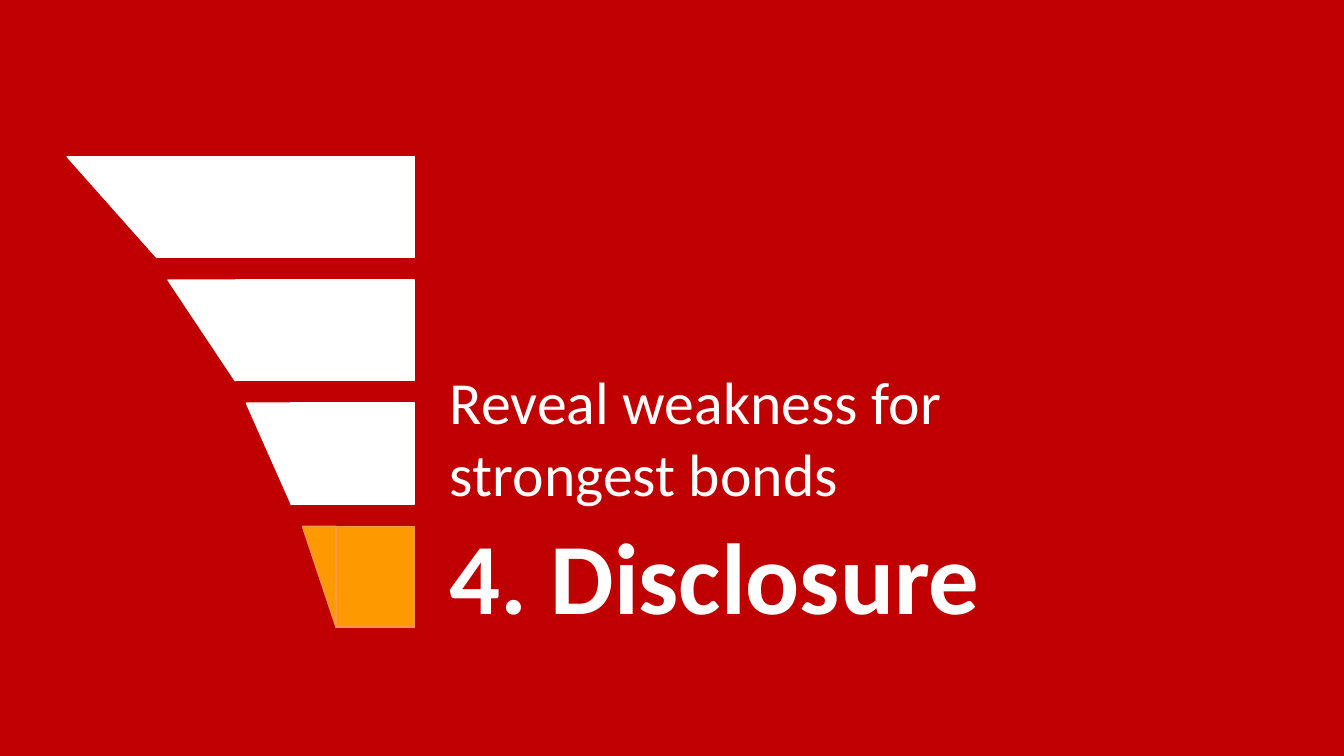
"""Build the red "4. Disclosure" section slide with its four-step half funnel."""
from lxml.etree import SubElement
from pptx import Presentation
from pptx.dml.color import RGBColor
from pptx.enum.shapes import MSO_SHAPE as Shape
from pptx.enum.text import MSO_ANCHOR as Anchor
from pptx.oxml.ns import qn
from pptx.util import Pt


def paint(fill, color):
    fill.solid()
    fill.fore_color.rgb = RGBColor.from_string(color)


def add_text(page, text, left, top, width, height, size, bold=False, anchor=Anchor.TOP):
    box = page.shapes.add_textbox(Pt(left), Pt(top), Pt(width), Pt(height))
    frame = box.text_frame
    frame.word_wrap = True
    frame.vertical_anchor = anchor
    span = frame.paragraphs[0].add_run()
    span.text = text
    span.font.name = "Calibri"
    span.font.size = Pt(size)
    span.font.bold = bold
    paint(span.font.fill, "FFFFFF")
    return span


deck = Presentation()
deck.slide_width, deck.slide_height = Pt(720), Pt(405)
page = deck.slides.add_slide(deck.slide_layouts[6])
paint(page.background.fill, "C00000")

title = add_text(page, "4. Disclosure", 234, 264, 462, 87, 54, bold=True, anchor=Anchor.MIDDLE)
add_text(page, "Reveal weakness for strongest bonds", 234, 192, 396, 78, 32)

effects = SubElement(title.font.fill._xPr, qn("a:effectLst"))
title.font.fill._xPr.find(qn("a:solidFill")).addnext(effects)
shadow = SubElement(effects, qn("a:outerShdw"), blurRad="38100", dist="38100", dir="2700000", algn="tl")
shade = SubElement(shadow, qn("a:srgbClr"), val="000000")
SubElement(shade, qn("a:alpha"), val="43000")

funnel_top, funnel_right, step_height, step_pitch = 84, 222, 54, 66
slopes = [(36, 84), (90, 126), (132, 156), (162, 180)]
colors = [("FFFFFF", "FFFFFF")] * 3 + [("FF9900", "F79646")]

for kind in (Shape.RIGHT_TRIANGLE, Shape.RECTANGLE):
    for row, ((tip, foot), (fill, line)) in enumerate(zip(slopes, colors)):
        left, right = (tip, foot) if kind == Shape.RIGHT_TRIANGLE else (foot, funnel_right)
        top = funnel_top + row * step_pitch
        step = page.shapes.add_shape(kind, Pt(left), Pt(top), Pt(right - left), Pt(step_height))
        step.rotation = 180 if kind == Shape.RIGHT_TRIANGLE else 0
        step.shadow.inherit = False
        paint(step.fill, fill)
        paint(step.line.fill, line)
        step.line.width = Pt(0.75)

deck.save("out.pptx")
